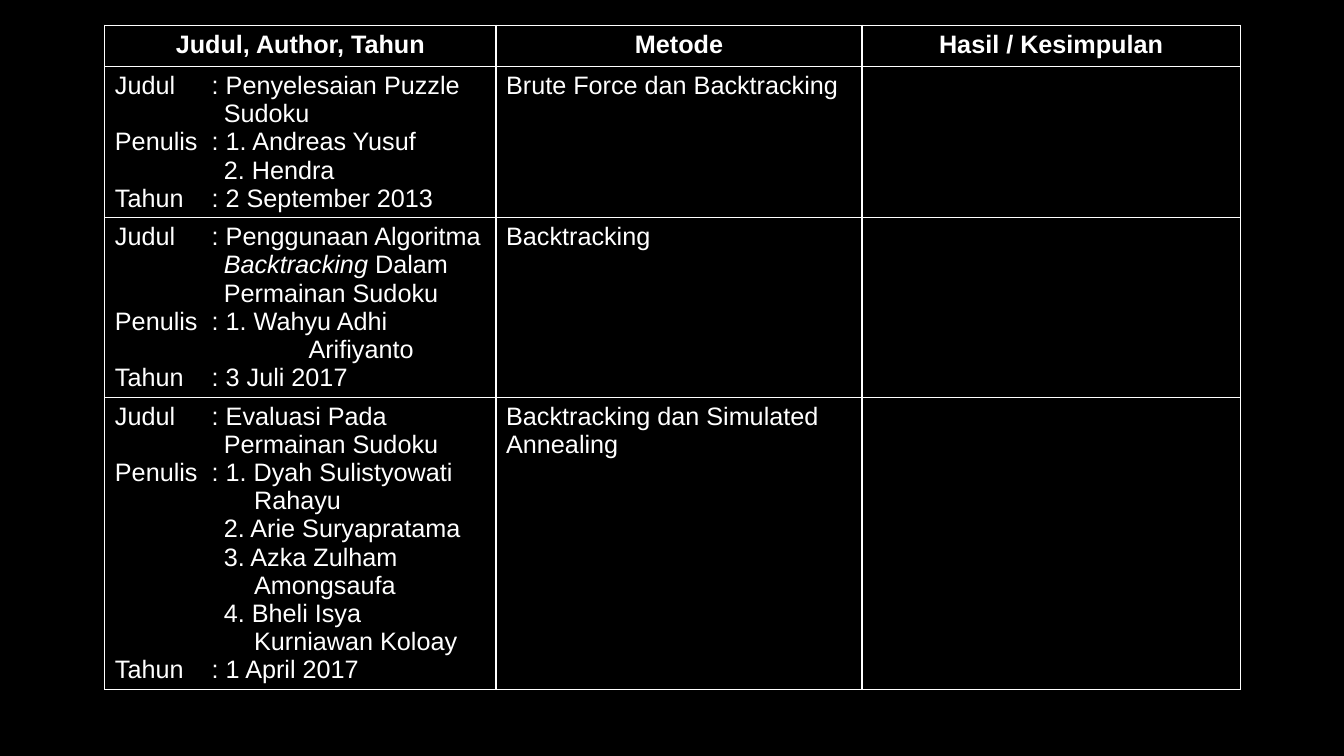
"""Build a slide with a literature review table on Sudoku solving."""
from dataclasses import dataclass

import lxml.etree
import pptx
import pptx.dml.color
import pptx.enum.text
import pptx.oxml.ns
import pptx.util

Inches = pptx.util.Inches


@dataclass(frozen=True)
class Theme:
    background: str = "000000"
    ink: str = "FFFFFF"
    font: str = "Arial"
    size: int = 18
    border: int = 1


THEME = Theme()
COLUMN_WIDTHS = (3.88, 3.63, 3.75)
ROW_HEIGHTS = (0.41, 1.5, 1.78, 2.9)
TAB_STOPS = (0.96, 1.08, 1.38, 1.92)
HEADINGS = ("Judul, Author, Tahun", "Metode", "Hasil / Kesimpulan")
STUDIES = (
    (
        (
            "Judul\t: Penyelesaian Puzzle\n\t\tSudoku",
            "Penulis\t: 1. Andreas Yusuf",
            "\t\t2. Hendra",
            "Tahun\t: 2 September 2013",
        ),
        "Brute Force dan Backtracking",
    ),
    (
        (
            "Judul\t: Penggunaan Algoritma\n\t\t*Backtracking* Dalam\n\t\tPermainan Sudoku",
            "Penulis\t: 1. Wahyu Adhi\n\t\t\t\tArifiyanto",
            "Tahun\t: 3 Juli 2017",
        ),
        "Backtracking",
    ),
    (
        (
            "Judul\t: Evaluasi Pada\n\t\tPermainan Sudoku",
            "Penulis\t: 1. Dyah Sulistyowati\n\t\t\tRahayu",
            "\t\t2. Arie Suryapratama",
            "\t\t3. Azka Zulham\n\t\t\tAmongsaufa",
            "\t\t4. Bheli Isya\n\t\t\tKurniawan Koloay",
            "Tahun\t: 1 April 2017",
        ),
        "Backtracking dan Simulated Annealing",
    ),
)


def rgb(color):
    return pptx.dml.color.RGBColor.from_string(color)


def add_element(parent, tag, **attributes):
    values = {name: str(value) for name, value in attributes.items()}
    return lxml.etree.SubElement(parent, pptx.oxml.ns.qn(tag), values)


def style_cell(cell):
    properties = cell._tc.get_or_add_tcPr()
    for side in "LRTB":
        line = add_element(properties, f"a:ln{side}", w=pptx.util.Pt(THEME.border))
        fill = add_element(line, "a:solidFill")
        add_element(fill, "a:srgbClr", val=THEME.ink)
    cell.fill.background()


def add_tab_stops(paragraph):
    tab_list = add_element(paragraph._p.get_or_add_pPr(), "a:tabLst")
    for position in TAB_STOPS:
        add_element(tab_list, "a:tab", pos=Inches(position), algn="l")


def write_paragraph(paragraph, text, bold=False):
    """Write text with line breaks, with words between asterisks in italics."""
    if "\t" in text:
        add_tab_stops(paragraph)
    paragraph.font.name = THEME.font
    paragraph.font.size = pptx.util.Pt(THEME.size)
    paragraph.font.bold = bold
    paragraph.font.color.rgb = rgb(THEME.ink)
    for line_number, line in enumerate(text.split("\n")):
        if line_number:
            paragraph.add_line_break()
        for part_number, part in enumerate(line.split("*")):
            run = paragraph.add_run()
            run.text = part
            if part_number % 2:
                run.font.italic = True


def write_cell(cell, texts, bold=False, alignment=pptx.enum.text.PP_ALIGN.LEFT):
    frame = cell.text_frame
    for number, text in enumerate(texts):
        paragraph = frame.add_paragraph() if number else frame.paragraphs[0]
        paragraph.alignment = alignment
        write_paragraph(paragraph, text, bold)


def add_review_table(slide):
    frame = slide.shapes.add_table(
        len(ROW_HEIGHTS), len(COLUMN_WIDTHS), Inches(1.04), Inches(0.25),
        Inches(sum(COLUMN_WIDTHS)), Inches(sum(ROW_HEIGHTS)))
    table = frame.table
    table.first_row = table.horz_banding = False
    for column, width in zip(table.columns, COLUMN_WIDTHS):
        column.width = Inches(width)
    for row, height in zip(table.rows, ROW_HEIGHTS):
        row.height = Inches(height)
    for cell in table.iter_cells():
        style_cell(cell)
    for column, heading in enumerate(HEADINGS):
        write_cell(table.cell(0, column), [heading], True, pptx.enum.text.PP_ALIGN.CENTER)
    for row, (source, method) in enumerate(STUDIES, start=1):
        write_cell(table.cell(row, 0), source)
        write_cell(table.cell(row, 1), [method])


def main():
    presentation = pptx.Presentation()
    presentation.slide_width = Inches(13.33)
    presentation.slide_height = Inches(7.5)
    slide = presentation.slides.add_slide(presentation.slide_layouts[6])
    slide.background.fill.solid()
    slide.background.fill.fore_color.rgb = rgb(THEME.background)
    add_review_table(slide)
    presentation.save("out.pptx")


if __name__ == "__main__":
    main()
